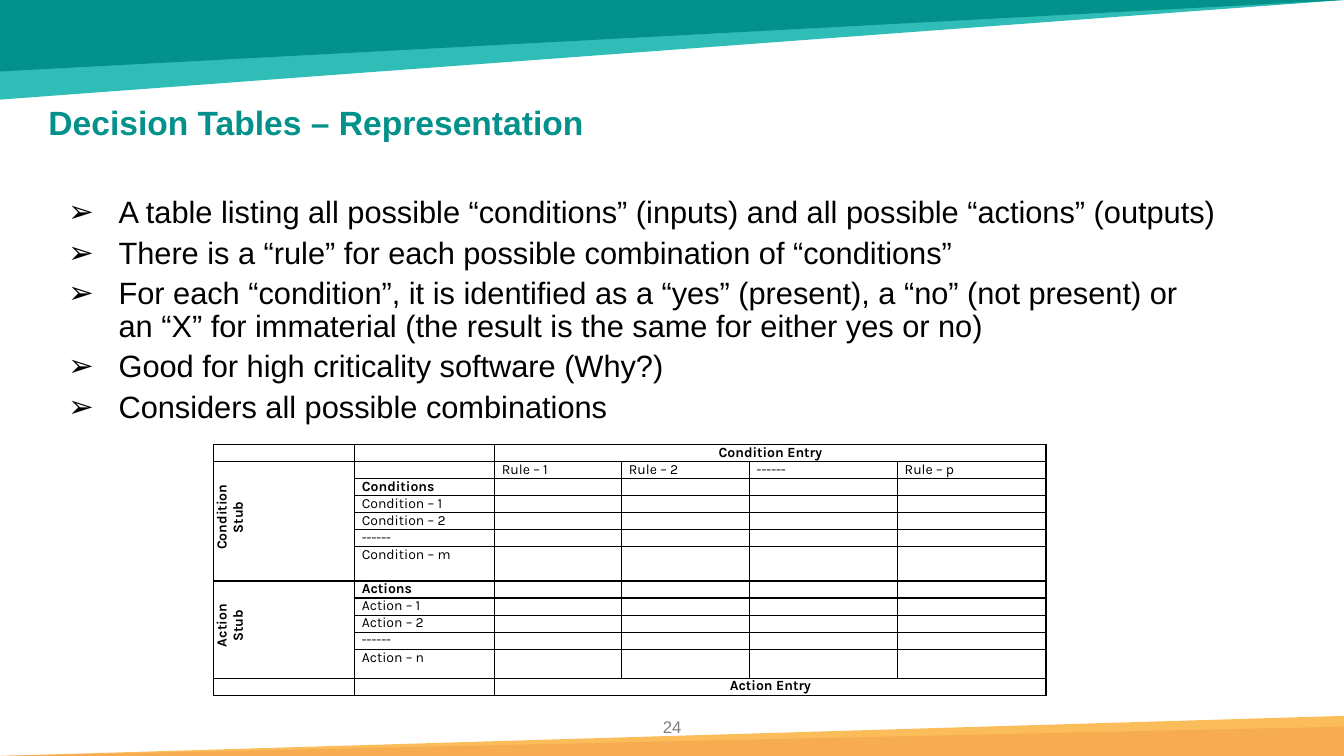
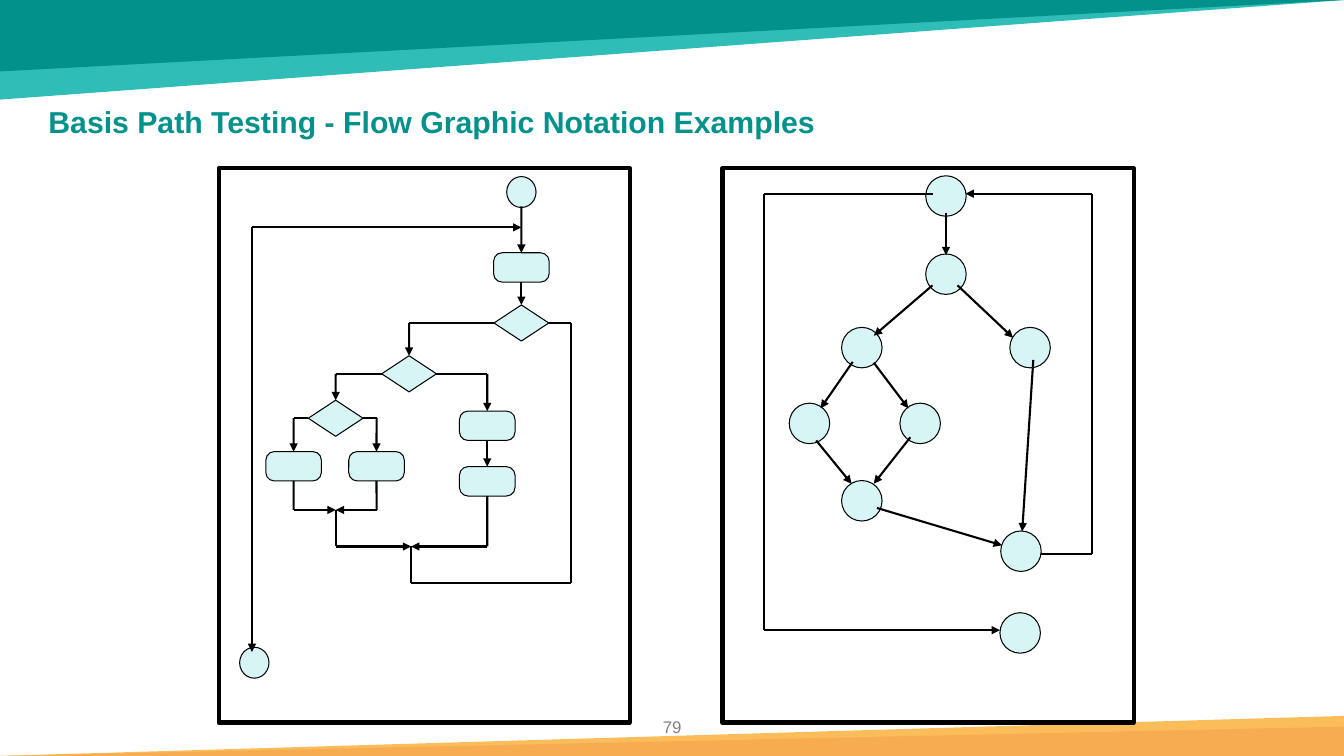
from lxml.etree import SubElement
from pptx import Presentation
from pptx.dml.color import RGBColor
from pptx.enum.shapes import MSO_CONNECTOR, MSO_SHAPE
from pptx.enum.text import PP_ALIGN
from pptx.oxml import parse_xml
from pptx.oxml.ns import nsdecls, qn
from pptx.util import Cm, Pt

TEAL, LIGHT_TEAL = "02918B", "30BDB7"
ORANGE, LIGHT_ORANGE = "F8AC52", "FBBD5A"
BLACK, GRAY, NODE_FILL = "000000", "808080", "D7F5F4"
WIDTH, HEIGHT = 33.87, 19.05


def paint(fill, color):
    """Give a shape, line or font fill a solid colour."""
    fill.solid()
    fill.fore_color.rgb = RGBColor.from_string(color)


def write(frame, text, size, color=BLACK, font="Arial", bold=False,
          align=PP_ALIGN.LEFT, spacing=None, before=0, bullet=None, indent=0):
    """Write one paragraph for each line of the text."""
    frame.word_wrap = True
    for index, line in enumerate(text.split("\n")):
        paragraph = frame.paragraphs[0] if index == 0 else frame.add_paragraph()
        properties = paragraph._p.get_or_add_pPr()
        if indent:
            properties.set("marL", str(Cm(indent)))
            properties.set("indent", str(-Cm(indent) if bullet else 0))
        if bullet:
            SubElement(properties, qn("a:buFont")).set("typeface", font)
            SubElement(properties, qn("a:buChar")).set("char", bullet)
        paragraph.alignment = align
        paragraph.line_spacing = spacing
        paragraph.space_before = Pt(before if index else 0)
        run = paragraph.add_run()
        run.text = line
        run.font.size, run.font.name, run.font.bold = Pt(size), font, bold
        paint(run.font.fill, color)


presentation = Presentation()
presentation.slide_width, presentation.slide_height = Cm(WIDTH), Cm(HEIGHT)
layout = presentation.slide_layouts[6]

# Shared parts: title and page number on each slide
slides = []
for title, title_size, number in [
    ("Decision Tables – Representation", 24, "24"),
    ("Basis Path Testing - Flow Graphic Notation Examples", 21.6, "79"),
]:
    slide = presentation.slides.add_slide(layout)
    slides.append(slide)
    title_box = slide.shapes.add_textbox(Cm(0.97), Cm(2.57), Cm(22.33), Cm(1.02))
    write(title_box.text_frame, title, title_size, color=TEAL, bold=True, spacing=0.9)
    number_box = slide.shapes.add_textbox(Cm(16.1), Cm(17.93), Cm(1.68), Cm(0.76))
    write(number_box.text_frame, number, 12, color=GRAY, align=PP_ALIGN.CENTER)
table_slide, flow_slide = slides

# Shared parts: slanted bands, moved to the layout
for top, height, rotation, color in [
    (0, 2.51, 180, LIGHT_TEAL),
    (0, 1.8, 180, TEAL),
    (18.04, 1.01, 0, LIGHT_ORANGE),
    (18.31, 0.74, 0, ORANGE),
]:
    band = table_slide.shapes.add_shape(
        MSO_SHAPE.RIGHT_TRIANGLE, 0, Cm(top), Cm(WIDTH), Cm(height))
    band.shadow.inherit = False
    band.rotation = rotation
    band._element.spPr.get_or_add_xfrm().set("flipH", "1")
    paint(band.fill, color)
    band.line.fill.background()
    layout.shapes._spTree.append(band._element)

# Decision tables: bullet list
bullets = """A table listing all possible “conditions” (inputs) and all possible “actions” (outputs)
There is a “rule” for each possible combination of “conditions”
For each “condition”, it is identified as a “yes” (present), a “no” (not present) or an “X” for immaterial (the result is the same for either yes or no)
Good for high criticality software (Why?)
Considers all possible combinations"""
body = table_slide.shapes.add_textbox(Cm(1.47), Cm(4.85), Cm(29.51), Cm(6.2))
write(body.text_frame, bullets, 22, spacing=0.9, before=5, bullet="➢", indent=1.27)

# Decision tables: table grid
column_widths = [3.55, 3.53, 3.2, 3.22, 3.73, 3.74]
row_heights = [0.43] * 6 + [0.86] + [0.43] * 4 + [0.73, 0.43]
table = table_slide.shapes.add_table(
    len(row_heights), len(column_widths), Cm(5.39), Cm(11.2),
    Cm(sum(column_widths)), Cm(sum(row_heights))).table
table.first_row = table.horz_banding = False
for column, width in zip(table.columns, column_widths):
    column.width = Cm(width)
for row, height in zip(table.rows, row_heights):
    row.height = Cm(height)
for first, last in [((0, 2), (0, 5)), ((1, 0), (6, 0)), ((7, 0), (11, 0)), ((12, 2), (12, 5))]:
    table.cell(*first).merge(table.cell(*last))

# Decision tables: cell texts
stubs = ["Conditions", "Condition – 1", "Condition – 2", "------", "Condition – m",
         "Actions", "Action – 1", "Action – 2", "------", "Action – n"]
rules = ["Rule – 1", "Rule – 2", "------", "Rule – p"]
entries = {(0, 2): "Condition Entry", (12, 2): "Action Entry"}
sides = {(1, 0): "Condition Stub", (7, 0): "Action Stub"}
texts = {**entries, **sides}
texts.update({(row, 1): stub for row, stub in enumerate(stubs, 2)})
texts.update({(1, column): rule for column, rule in enumerate(rules, 2)})

for row in range(len(row_heights)):
    for column in range(len(column_widths)):
        cell, place = table.cell(row, column), (row, column)
        cell.margin_left = cell.margin_right = Cm(0.18)
        cell.margin_top = cell.margin_bottom = 0
        cell.fill.background()
        cell_properties = cell._tc.get_or_add_tcPr()
        for index, edge in enumerate(["lnL", "lnR", "lnT", "lnB"]):
            cell_properties.insert(index, parse_xml(
                f'<a:{edge} {nsdecls("a")} w="{Pt(1)}"><a:solidFill>'
                f'<a:srgbClr val="{BLACK}"/></a:solidFill></a:{edge}>'))
        if place in sides:
            cell_properties.set("vert", "vert270")
        if place in texts:
            heading = place in entries or place in sides
            write(cell.text_frame, texts[place], 10, font="Karla",
                  bold=heading or texts[place] in ("Conditions", "Actions"),
                  align=PP_ALIGN.CENTER if heading else PP_ALIGN.LEFT,
                  indent=0.2 if place in sides else 0)
        else:
            paragraph = cell.text_frame.paragraphs[0]
            SubElement(paragraph._p, qn("a:endParaRPr")).set("sz", "1000")

# Flow graphs: panels
for left in (5.51, 18.21):
    panel = flow_slide.shapes.add_shape(
        MSO_SHAPE.RECTANGLE, Cm(left), Cm(4.24), Cm(10.36), Cm(13.97))
    panel.shadow.inherit = False
    panel.fill.background()
    paint(panel.line.fill, BLACK)
    panel.line.width = Pt(3)

# Flow graphs: nodes by kind, each with its centre
terminal = (MSO_SHAPE.OVAL, 0.74, 0.78)
process = (MSO_SHAPE.ROUNDED_RECTANGLE, 1.4, 0.74)
decision = (MSO_SHAPE.DIAMOND, 1.38, 0.91)
circle = (MSO_SHAPE.OVAL, 1.02, 1.02)
nodes = {}
for name, (kind, width, height), x, y in [
    ("start", terminal, 13.14, 4.84),
    ("end", terminal, 6.41, 16.7),
    ("first step", process, 13.14, 6.74),
    ("left step", process, 7.4, 11.75),
    ("middle step", process, 9.49, 11.75),
    ("right step", process, 12.28, 10.73),
    ("last step", process, 12.28, 12.13),
    ("outer test", decision, 13.14, 8.14),
    ("middle test", decision, 10.31, 9.42),
    ("inner test", decision, 8.46, 10.54),
    ("entry", circle, 23.84, 4.94),
    ("outer branch", circle, 23.84, 6.91),
    ("inner branch", circle, 21.72, 8.76),
    ("bypass", circle, 25.96, 8.76),
    ("left choice", circle, 20.4, 10.67),
    ("right choice", circle, 23.19, 10.67),
    ("inner join", circle, 21.72, 12.62),
    ("outer join", circle, 25.73, 13.89),
    ("exit", circle, 25.71, 15.95),
]:
    node = flow_slide.shapes.add_shape(
        kind, Cm(x - width / 2), Cm(y - height / 2), Cm(width), Cm(height))
    node.shadow.inherit = False
    paint(node.fill, NODE_FILL)
    paint(node.line.fill, BLACK)
    node.line.width = Pt(0.75)
    if kind == MSO_SHAPE.ROUNDED_RECTANGLE:
        node.adjustments[0] = 0.29
    nodes[name] = node

# Flow graphs: routes through points or (node, side); arrow at the last point
TOP, LEFT, BOTTOM, RIGHT = range(4)
arrow_routes = [
    [(13.14, 5.2), ("first step", TOP)],
    [("first step", BOTTOM), ("outer test", TOP)],
    [("outer test", LEFT), (10.31, 8.14), ("middle test", TOP)],
    [("middle test", LEFT), (8.46, 9.42), ("inner test", TOP)],
    [("middle test", RIGHT), (12.28, 9.42), ("right step", TOP)],
    [("inner test", LEFT), (7.4, 10.54), ("left step", TOP)],
    [("inner test", RIGHT), (9.49, 10.54), ("middle step", TOP)],
    [("left step", BOTTOM), (7.4, 12.85), (8.46, 12.85)],
    [("middle step", BOTTOM), (9.49, 12.85), (8.46, 12.85)],
    [(8.46, 12.85), (8.46, 13.77), (10.36, 13.77)],
    [("right step", BOTTOM), ("last step", TOP)],
    [("last step", BOTTOM), (12.28, 13.77), (10.36, 13.77)],
    [(6.35, 5.73), (13.14, 5.73)],
    [(6.35, 5.73), (6.35, 16.43)],
    [(23.84, 5.36), (23.84, 6.43)],
    [(23.5, 7.19), (22.02, 8.46)],
    [(24.13, 7.19), (25.53, 8.51)],
    [(21.49, 9.12), (20.68, 10.29)],
    [(22.02, 9.14), (22.89, 10.29)],
    [(20.57, 11.1), (21.46, 12.19)],
    [(22.94, 11.02), (22.02, 12.19)],
    [(26.04, 9.07), (25.76, 13.39)],
    [(22.1, 12.8), (25.25, 13.74)],
    [(26.24, 13.97), (27.51, 13.97), (27.51, 4.88), (24.33, 4.88)],
    [(23.5, 4.88), (19.25, 4.88), (19.25, 15.88), (25.2, 15.88)],
]
plain_routes = [
    [(10.36, 13.77), (10.36, 14.69), (14.38, 14.69), (14.38, 8.14), ("outer test", RIGHT)],
]
for route in arrow_routes + plain_routes:
    for index, (begin, end) in enumerate(zip(route, route[1:]), 1):
        begin_joined, end_joined = begin[0] in nodes, end[0] in nodes
        x1, y1 = (0, 0) if begin_joined else begin
        x2, y2 = (0, 0) if end_joined else end
        connector = flow_slide.shapes.add_connector(
            MSO_CONNECTOR.STRAIGHT, Cm(x1), Cm(y1), Cm(x2), Cm(y2))
        if begin_joined:
            connector.begin_connect(nodes[begin[0]], begin[1])
        if end_joined:
            connector.end_connect(nodes[end[0]], end[1])
        paint(connector.line.fill, BLACK)
        connector.line.width = Pt(1.5)
        if route in arrow_routes and index == len(route) - 1:
            SubElement(connector.line._get_or_add_ln(), qn("a:tailEnd")).set("type", "triangle")
        SubElement(connector._element.spPr, qn("a:effectLst"))

presentation.save("out.pptx")
